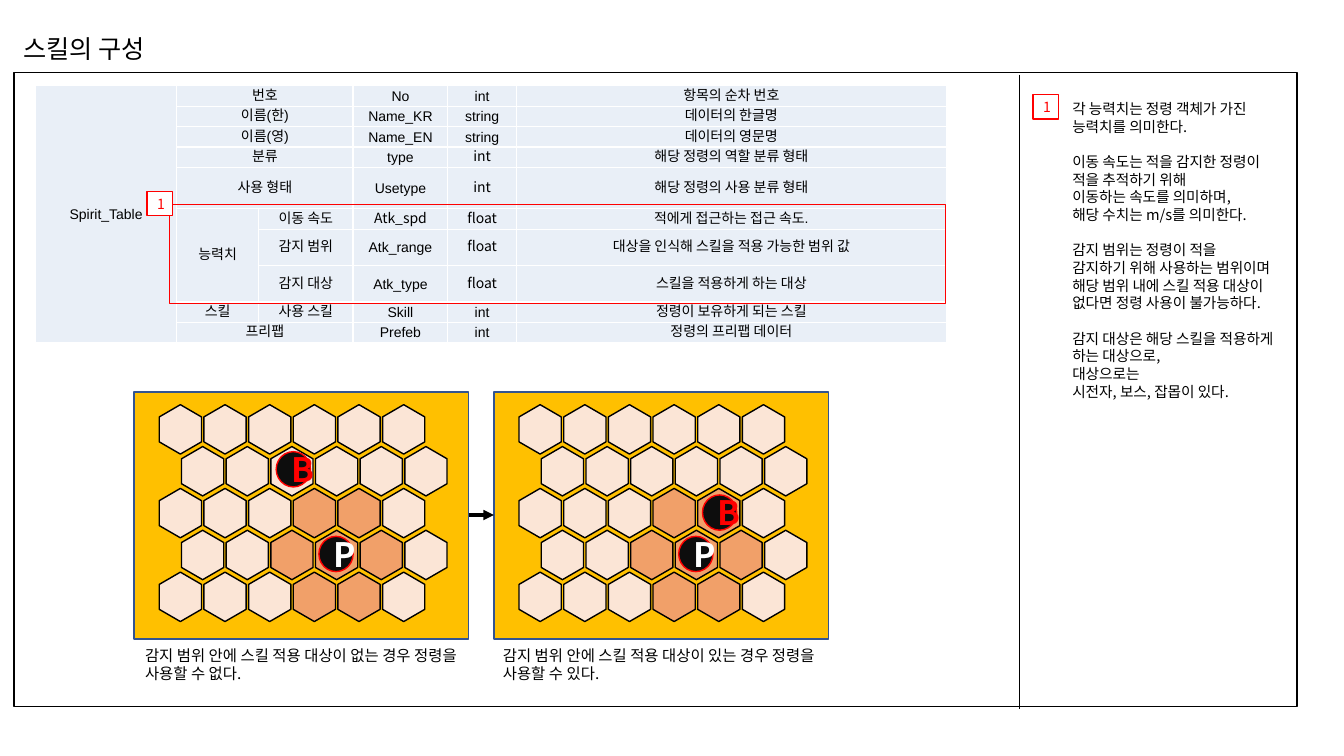
from lxml import etree
from pptx import Presentation
from pptx.dml.color import RGBColor
from pptx.enum.shapes import MSO_CONNECTOR, MSO_SHAPE
from pptx.enum.text import MSO_ANCHOR, MSO_AUTO_SIZE, PP_ALIGN
from pptx.oxml.ns import qn
from pptx.util import Pt

RECT, OVAL, HEX = MSO_SHAPE.RECTANGLE, MSO_SHAPE.OVAL, MSO_SHAPE.HEXAGON
LINE = MSO_CONNECTOR.STRAIGHT
TOP, MIDDLE = MSO_ANCHOR.TOP, MSO_ANCHOR.MIDDLE
LEFT, CENTER = PP_ALIGN.LEFT, PP_ALIGN.CENTER
NOTO, ARIAL = "Noto Sans CJK KR", "Arial"
BLACK, WHITE, RED = "000000", "FFFFFF", "FF0000"
PALE, PEACH, ORANGE, GOLD = "E9EFF7", "FBE5D6", "F1A069", "FFC000"
rgb = RGBColor.from_string

deck = Presentation()
deck.slide_width, deck.slide_height = Pt(960), Pt(540)
slide = deck.slides.add_slide(deck.slide_layouts[5])
shapes = slide.shapes


def write(frame, lines, size, color=BLACK, face=NOTO, align=LEFT, bold=False):
    """Fill a text frame with one paragraph per line, leaded at 1.2."""
    frame.text = "\n".join(lines)
    for par in frame.paragraphs:
        form = {"alignment": align, "line_spacing": Pt(round(size * 1.2, 1))}
        for key, value in form.items():
            setattr(par, key, value)
        font = par.runs[0].font
        font.color.rgb = rgb(color)
        for key, value in {"size": Pt(size), "bold": bold, "name": face}.items():
            setattr(font, key, value)
        props = par.runs[0]._r.get_or_add_rPr()
        etree.SubElement(props, qn("a:ea")).set("typeface", NOTO)


def draw(kind, left, top, width, height, fill, line):
    shape = shapes.add_shape(kind, Pt(left), Pt(top), Pt(width), Pt(height))
    shape.shadow.inherit = False
    if fill:
        shape.fill.solid()
        shape.fill.fore_color.rgb = rgb(fill)
    else:
        shape.fill.background()
    shape.line.color.rgb = rgb(line)
    shape.line.width = Pt(1)
    return shape


# Title
title = shapes.title
for key, value in {"left": 9.4, "top": 20.2, "width": 200, "height": 28.8}.items():
    setattr(title, key, Pt(value))
title.text_frame.auto_size = MSO_AUTO_SIZE.NONE
title.text_frame.vertical_anchor = TOP
write(title.text_frame, ["스킬의 구성"], 18)

# Skill table: group, item, field, type, meaning
rows = [
    ("번호", "", "No", "int", "항목의 순차 번호"),
    ("이름(한)", "", "Name_KR", "string", "데이터의 한글명"),
    ("이름(영)", "", "Name_EN", "string", "데이터의 영문명"),
    ("분류", "", "type", "int", "해당 정령의 역할 분류 형태"),
    ("사용 형태", "", "Usetype", "int", "해당 정령의 사용 분류 형태"),
    ("능력치", "이동 속도", "Atk_spd", "float", "적에게 접근하는 접근 속도."),
    ("", "감지 범위", "Atk_range", "float", "대상을 인식해 스킬을 적용 가능한 범위 값"),
    ("", "감지 대상", "Atk_type", "float", "스킬을 적용하게 하는 대상"),
    ("스킬", "사용 스킬", "Skill", "int", "정령이 보유하게 되는 스킬"),
    ("프리팹", "", "Prefeb", "int", "정령의 프리팹 데이터"),
]
widths = [100.8, 58.5, 67.5, 67.7, 49, 307]
heights = [14.6] * 4 + [29.5, 14.6, 26, 26, 14.6, 14.6]
noto = {(3, 4), (4, 4), (5, 3), (5, 4), (6, 4), (7, 4)}

holder = shapes.add_table(10, 6, Pt(25.4), Pt(61.2), Pt(sum(widths)), Pt(sum(heights)))
table = holder.table
table.first_row = table.horz_banding = False
for col, width in zip(table.columns, widths):
    col.width = Pt(width)
for row, height in zip(table.rows, heights):
    row.height = Pt(height)
for r, row in enumerate(rows):
    for c, text in enumerate(("" if r else "Spirit_Table", *row)):
        cell = table.cell(r, c)
        cell.fill.solid()
        cell.fill.fore_color.rgb = rgb(PALE)
        cell.vertical_anchor = MIDDLE
        for side in ("left", "right", "top", "bottom"):
            setattr(cell, "margin_" + side, 0)
        if text:
            face = NOTO if (r, c) in noto else ARIAL
            write(cell.text_frame, [text], 10, face=face, align=CENTER)
    if row[0] and not row[1]:
        table.cell(r, 1).merge(table.cell(r, 2))
table.cell(0, 0).merge(table.cell(9, 0))
table.cell(5, 1).merge(table.cell(7, 1))

# Frames and number badges
draw(RECT, 10, 51.8, 916.6, 452.9, None, BLACK)
draw(RECT, 121, 146.2, 554.4, 70.5, None, RED)
for left, top in ((738, 67.7), (105.1, 136.8)):
    badge = draw(RECT, left, top, 18, 17.3, WHITE, RED)
    write(badge.text_frame, ["1"], 10, RED, align=CENTER)

# Hexagon boards
reach = {(2, 3), (2, 4), (3, 2), (3, 3), (3, 4), (4, 3), (4, 4)}
for left, boss in ((95.8, (101.5, 42.5)), (352.8, (149, 73.4))):
    top = 280.1
    draw(RECT, left, top, 239, 176.4, GOLD, "325491")
    for r in range(5):
        for c in range(6):
            x = left + 15.4 + 31.9 * c + 15.9 * (r % 2)
            fill = ORANGE if (r, c) in reach else PEACH
            tile = draw(HEX, x, top + 11.5 + 29.9 * r, 35.3, 30.2, fill, BLACK)
            tile.rotation = 270
            tile.adjustments[0] = 0.29
    for mark, color, (x, y) in (("P", WHITE, (132, 103)), ("B", RED, boss)):
        token = draw(OVAL, left + x, top + y, 24.5, 25.2, "0D0D0D", RED)
        write(token.text_frame, [mark], 24, color, align=CENTER, bold=True)

# Divider and arrow
for x1, y1, x2, y2, width in ((727.9, 53.3, 727.9, 506.2, 0.75),
                              (334.8, 367.9, 352.8, 367.9, 2.5)):
    rule = shapes.add_connector(LINE, Pt(x1), Pt(y1), Pt(x2), Pt(y2))
    rule.line.color.rgb = rgb(BLACK)
    rule.line.width = Pt(width)
    etree.SubElement(rule._element.spPr, qn("a:effectLst"))
etree.SubElement(rule.line._get_or_add_ln(), qn("a:tailEnd")).set("type", "triangle")

# Notes and captions
notes = [
    "각 능력치는 정령 객체가 가진",
    "능력치를 의미한다.",
    "이동 속도는 적을 감지한 정령이 적을 추적하기 위해",
    "이동하는 속도를 의미하며,",
    "해당 수치는 m/s를 의미한다.",
    "감지 범위는 정령이 적을",
    "감지하기 위해 사용하는 범위이며 해당 범위 내에 스킬 적용 대상이 없다면 정령 사용이 불가능하다.",
    "감지 대상은 해당 스킬을 적용하게 하는 대상으로,",
    "대상으로는",
    "시전자, 보스, 잡몹이 있다.",
]
texts = [
    (758.9, 67.7, 163.4, 236.2, notes, 10.5),
    (96.5, 457.9, 262.8, 33.8,
     ["감지 범위 안에 스킬 적용 대상이 없는 경우 정령을 사용할 수 없다."], 11),
    (352.1, 457.9, 262.8, 33.8,
     ["감지 범위 안에 스킬 적용 대상이 있는 경우 정령을 사용할 수 있다."], 11),
]
for left, top, width, height, lines, size in texts:
    frame = shapes.add_textbox(Pt(left), Pt(top), Pt(width), Pt(height)).text_frame
    frame.word_wrap = True
    write(frame, lines, size)
    for par in frame.paragraphs:
        if par.text in (notes[2], notes[5], notes[7]):
            par.space_before = Pt(12.6)

deck.save("out.pptx")
